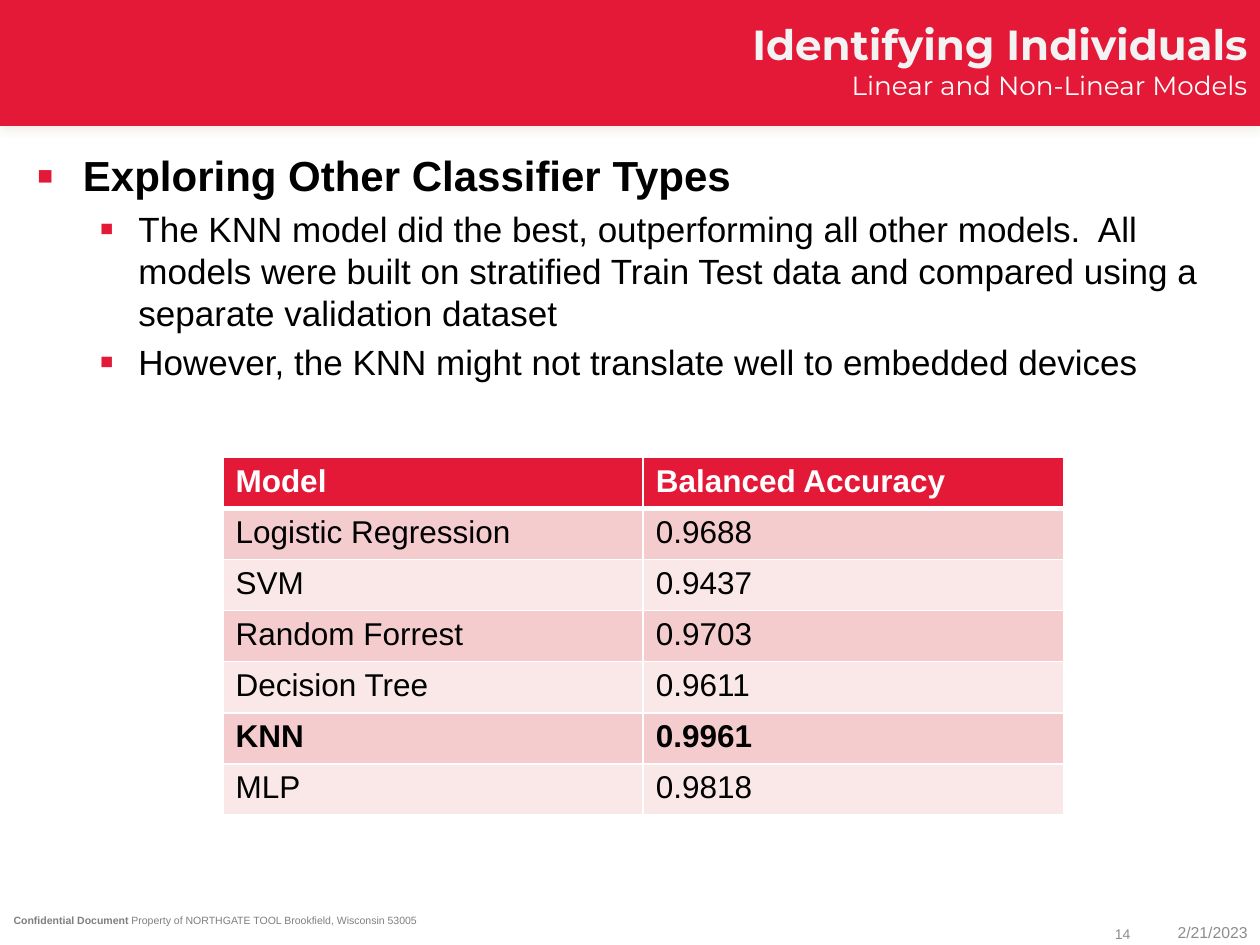
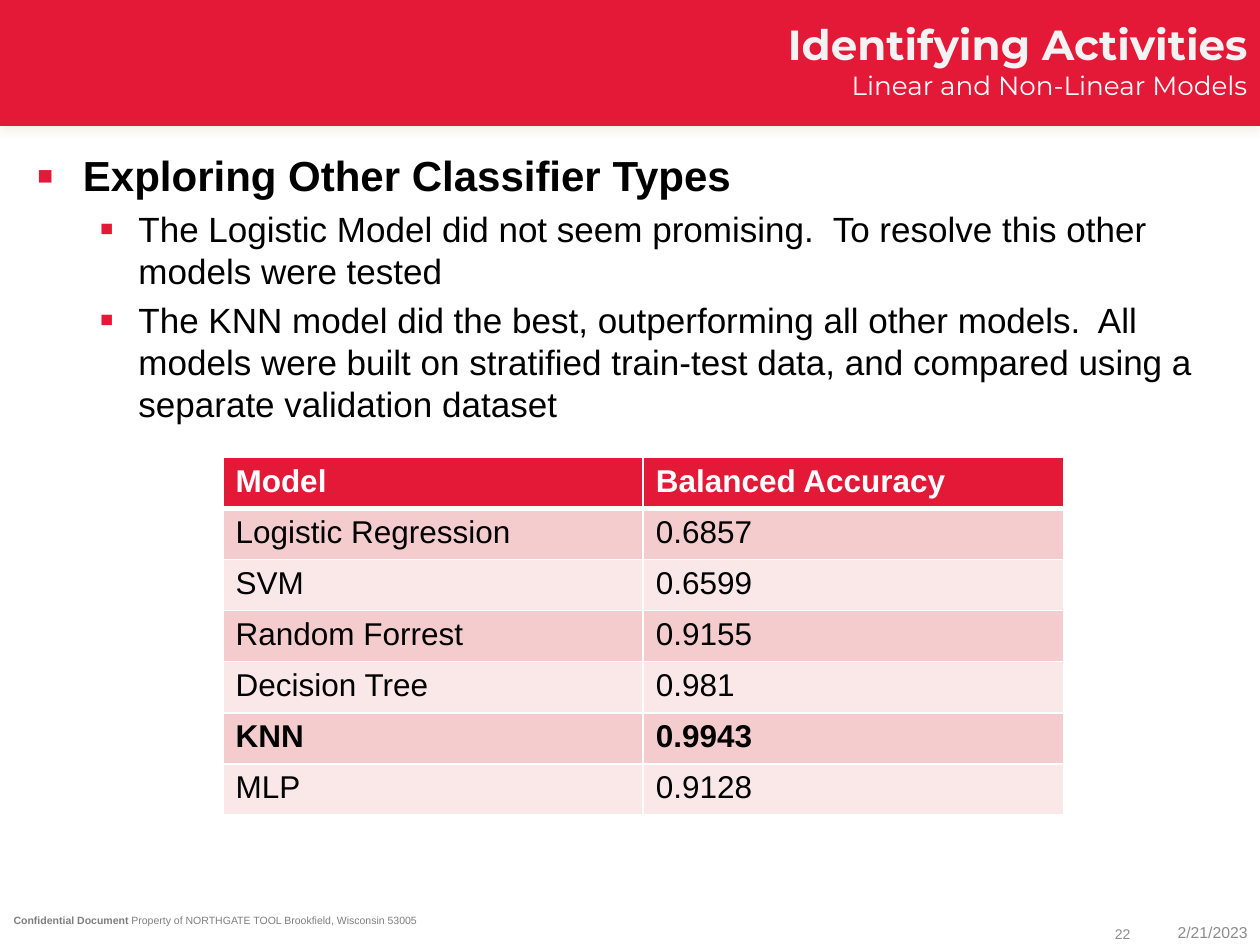
from lxml.etree import SubElement
from pptx import Presentation
from pptx.dml.color import RGBColor
from pptx.enum.shapes import MSO_SHAPE
from pptx.enum.text import MSO_ANCHOR, PP_ALIGN
from pptx.oxml.ns import qn
from pptx.util import Inches, Pt

RED = RGBColor(0xE3, 0x19, 0x37)
WHITE = RGBColor(0xFF, 0xFF, 0xFF)
OFF_WHITE = RGBColor(0xF3, 0xF3, 0xF3)
BLACK = RGBColor(0, 0, 0)
GRAY = RGBColor(0x7F, 0x7F, 0x7F)
LIGHT_GRAY = RGBColor(0x8C, 0x8C, 0x8C)
SAND = RGBColor(0xEE, 0xEC, 0xE1)
ROW_FILLS = (RGBColor(0xF4, 0xCC, 0xCE), RGBColor(0xFA, 0xE8, 0xE8))

BODY_FONT = "Arial"
HEAD_FONT = "Montserrat"
BLANK_LAYOUT = 6

SUBTITLE = "Linear and Non-Linear Models"
HEADING = "Exploring Other Classifier Types"
DATE = "2/21/2023"
COLUMNS = ("Model", "Balanced Accuracy")
MODELS = ("Logistic Regression", "SVM", "Random Forrest", "Decision Tree", "KNN", "MLP")
BEST_MODEL = "KNN"

PAGES = (
    dict(
        title="Identifying Individuals",
        number="14",
        points=(
            "The KNN model did the best, outperforming all other models.  All models were built "
            "on stratified Train Test data and compared using a separate validation dataset",
            "However, the KNN might not translate well to embedded devices",
        ),
        scores=("0.9688", "0.9437", "0.9703", "0.9611", "0.9961", "0.9818"),
    ),
    dict(
        title="Identifying Activities",
        number="22",
        points=(
            "The Logistic Model did not seem promising.  To resolve this other models were tested",
            "The KNN model did the best, outperforming all other models.  All models were built "
            "on stratified train-test data, and compared using a separate validation dataset",
        ),
        scores=("0.6857", "0.6599", "0.9155", "0.981", "0.9943", "0.9128"),
    ),
)


def add_span(paragraph, text, size=18, color=BLACK, bold=False, font=BODY_FONT):
    span = paragraph.add_run()
    span.text = text
    span.font.size = Pt(size)
    span.font.name = font
    span.font.bold = bold
    span.font.color.rgb = color


def add_color(parent, color):
    return SubElement(parent, qn("a:srgbClr"), val=str(color))


def add_bullet(paragraph, margin, hanging):
    """Give the paragraph a red square bullet and a hanging indent."""
    properties = paragraph._p.get_or_add_pPr()
    properties.set("marL", str(Inches(margin)))
    properties.set("indent", str(-Inches(hanging)))
    add_color(SubElement(properties, qn("a:buClr")), RED)
    SubElement(properties, qn("a:buSzPct"), val="120000")
    SubElement(properties, qn("a:buFont"), typeface=BODY_FONT)
    SubElement(properties, qn("a:buChar"), char="▪")


def add_borders(cell, top, bottom):
    """Draw white borders; the widths of the top and bottom ones are in points."""
    properties = cell._tc.get_or_add_tcPr()
    for side, width in (("L", 1), ("R", 1), ("T", top), ("B", bottom)):
        line = SubElement(properties, qn(f"a:ln{side}"), w=str(Pt(width)))
        add_color(SubElement(line, qn("a:solidFill")), WHITE)


class DeckBuilder:
    def __init__(self):
        self.deck = Presentation()
        self.deck.slide_width = Inches(10)
        self.deck.slide_height = Inches(7.5)
        self.page = None

    def add_page(self, title, number):
        self.page = self.deck.slides.add_slide(self.deck.slide_layouts[BLANK_LAYOUT])
        self.add_confidential_line()
        self.add_band()
        self.add_label(SUBTITLE, 1.77, 0.5, 8.23, 0.42, size=15, color=WHITE, font=HEAD_FONT)
        self.add_label(title, 1.75, 0.1, 8.25, 0.4,
                       size=24, color=OFF_WHITE, bold=True, font=HEAD_FONT)
        self.add_footer_label(number, 8.65, 0.42, 0.18, size=8)
        self.add_footer_label(DATE, 9.09, 0.91, 0.15, size=9)

    def add_box(self, left, top, width, height):
        box = self.page.shapes.add_textbox(
            Inches(left), Inches(top), Inches(width), Inches(height))
        box.text_frame.word_wrap = True
        return box.text_frame

    def add_label(self, text, left, top, width, height, **style):
        """Add one right-aligned line and return its text frame."""
        frame = self.add_box(left, top, width, height)
        paragraph = frame.paragraphs[0]
        paragraph.alignment = PP_ALIGN.RIGHT
        add_span(paragraph, text, **style)
        return frame

    def add_footer_label(self, text, left, width, height, size):
        frame = self.add_label(text, left, 7.32, width, height, size=size, color=LIGHT_GRAY)
        frame.vertical_anchor = MSO_ANCHOR.MIDDLE
        frame.margin_top = frame.margin_bottom = 0

    def add_confidential_line(self):
        paragraph = self.add_box(0.01, 7.25, 10, 0.16).paragraphs[0]
        paragraph.line_spacing = 0.5
        add_span(paragraph, "Confidential Document ", size=6, color=GRAY, bold=True)
        add_span(paragraph, "Property of NORTHGATE TOOL Brookfield, Wisconsin 53005",
                 size=6, color=GRAY)

    def add_band(self):
        band = self.page.shapes.add_shape(
            MSO_SHAPE.RECTANGLE, 0, 0, self.deck.slide_width, Inches(1))
        band.fill.solid()
        band.fill.fore_color.rgb = RED
        band.line.fill.background()
        band.shadow.inherit = False
        effects = band._element.spPr.find(qn("a:effectLst"))
        shadow = SubElement(effects, qn("a:outerShdw"), blurRad=str(Pt(5)),
                            dist=str(Pt(2.1)), dir="5400000", rotWithShape="0")
        SubElement(add_color(shadow, SAND), qn("a:alpha"), val="75000")

    def add_points(self, points):
        frame = self.add_box(0.19, 1.14, 9.68, 6)
        heading = frame.paragraphs[0]
        add_bullet(heading, margin=0.37, hanging=0.37)
        add_span(heading, HEADING, size=24, bold=True)
        for point in points:
            paragraph = frame.add_paragraph()
            paragraph.level = 1
            add_bullet(paragraph, margin=0.81, hanging=0.31)
            paragraph.space_before = Pt(4)
            add_span(paragraph, point, size=20)

    def add_score_table(self, scores):
        rows = [COLUMNS, *zip(MODELS, scores)]
        table = self.page.shapes.add_table(
            len(rows), len(COLUMNS),
            Inches(1.77), Inches(3.63), Inches(6.67), Inches(2.84)).table
        for row_index, row in enumerate(rows):
            is_header = row_index == 0
            fill = RED if is_header else ROW_FILLS[(row_index - 1) % 2]
            for column_index, text in enumerate(row):
                cell = table.cell(row_index, column_index)
                add_borders(cell, top=3 if row_index == 1 else 1, bottom=3 if is_header else 1)
                cell.fill.solid()
                cell.fill.fore_color.rgb = fill
                add_span(cell.text_frame.paragraphs[0], text,
                         color=WHITE if is_header else BLACK,
                         bold=is_header or row[0] == BEST_MODEL)


def main():
    builder = DeckBuilder()
    for content in PAGES:
        builder.add_page(content["title"], content["number"])
        builder.add_points(content["points"])
        builder.add_score_table(content["scores"])
    builder.deck.save("out.pptx")


if __name__ == "__main__":
    main()
